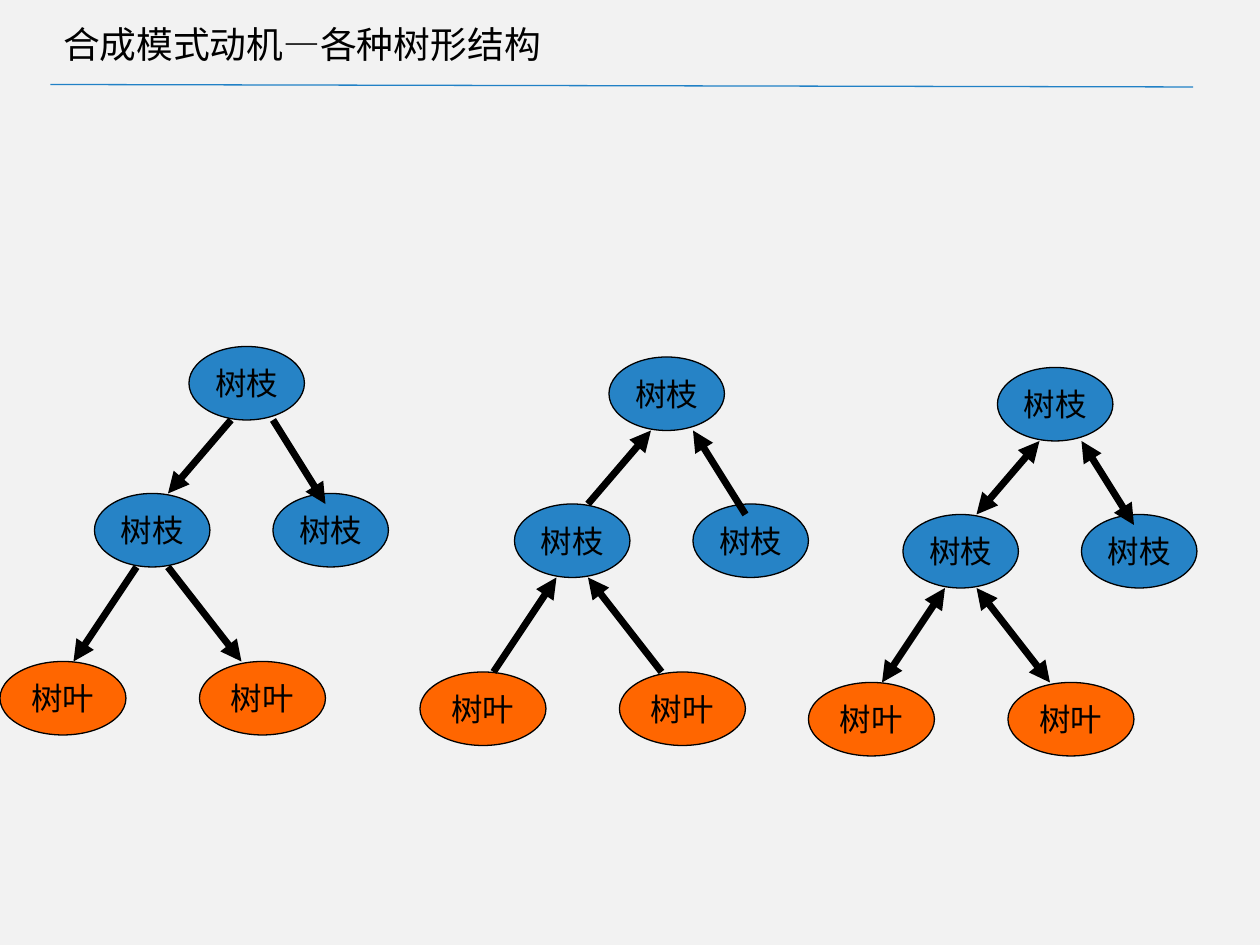
from pptx import Presentation
from pptx.dml.color import RGBColor
from pptx.enum.shapes import MSO_CONNECTOR, MSO_SHAPE
from pptx.enum.text import MSO_ANCHOR as Anchor, MSO_AUTO_SIZE as AutoSize, PP_ALIGN as Align
from pptx.oxml.ns import qn
from pptx.util import Pt
from lxml.etree import SubElement

BACKGROUND = RGBColor(0xF2, 0xF2, 0xF2)
RULE_BLUE = RGBColor(0x21, 0x81, 0xC6)
BRANCH_BLUE = RGBColor(0x26, 0x83, 0xC6)
LEAF_ORANGE = RGBColor(0xFF, 0x66, 0x00)
BLACK = RGBColor(0, 0, 0)

BRANCHES = [(108, 0), (54, 84), (156, 84)]
LEAVES = [(0, 180), (114, 180)]
EDGES = [
    (132, 42, 96, 84),
    (78, 126, 42, 180),
    (156, 42, 186, 90),
    (96, 126, 138, 180),
]
TREES = [
    (0, 198, ["tailEnd"]),
    (240, 204, ["headEnd"]),
    (462, 210, ["headEnd", "tailEnd"]),
]


def write_text(frame, text, font="Arial", size=18, color=BLACK, align=Align.CENTER, wrap=False):
    frame.auto_size = AutoSize.NONE
    frame.word_wrap = wrap
    frame.vertical_anchor = Anchor.MIDDLE
    paragraph = frame.paragraphs[0]
    paragraph.alignment = align
    run = paragraph.add_run()
    run.text = text
    run.font.name = font
    run.font.size = Pt(size)
    run.font.color.rgb = color


class TreeSlide:
    node_height = 42
    outline_width = 0.75
    edge_width = 4

    def __init__(self, presentation):
        self.slide = presentation.slides.add_slide(presentation.slide_layouts[5])
        fill = self.slide.background.fill
        fill.solid()
        fill.fore_color.rgb = BACKGROUND

    def title(self, text, left, top, width, height):
        shape = self.slide.shapes.title
        shape.left, shape.top = Pt(left), Pt(top)
        shape.width, shape.height = Pt(width), Pt(height)
        write_text(shape.text_frame, text, font="Calibri", size=21, align=Align.LEFT, wrap=True)

    def node(self, text, left, top, width, color):
        shape = self.slide.shapes.add_shape(
            MSO_SHAPE.OVAL, Pt(left), Pt(top), Pt(width), Pt(self.node_height)
        )
        shape.shadow.inherit = False
        shape.fill.solid()
        shape.fill.fore_color.rgb = color
        shape.line.color.rgb = BLACK
        shape.line.width = Pt(self.outline_width)
        write_text(shape.text_frame, text)

    def line(self, start_x, start_y, end_x, end_y, color=BLACK, width=edge_width, arrows=()):
        connector = self.slide.shapes.add_connector(
            MSO_CONNECTOR.STRAIGHT, Pt(start_x), Pt(start_y), Pt(end_x), Pt(end_y)
        )
        connector.line.color.rgb = color
        connector.line.width = Pt(width)
        line_element = connector.line._get_or_add_ln()
        for arrow in arrows:
            SubElement(line_element, qn(f"a:{arrow}"), type="triangle")
        SubElement(connector._element.spPr, qn("a:effectLst"))

    def tree(self, left, top, arrows):
        for x, y in BRANCHES:
            self.node("树枝", left + x, top + y, 66, BRANCH_BLUE)
        for x, y in LEAVES:
            self.node("树叶", left + x, top + y, 72, LEAF_ORANGE)
        for start_x, start_y, end_x, end_y in EDGES:
            self.line(left + start_x, top + start_y, left + end_x, top + end_y, arrows=arrows)


def main():
    presentation = Presentation()
    presentation.slide_width = Pt(720)
    presentation.slide_height = Pt(540)
    page = TreeSlide(presentation)
    page.line(28.8, 48.3, 681.8, 49.7, color=RULE_BLUE, width=0.75)
    page.title("合成模式动机—各种树形结构", 28.8, 5.8, 620.6, 38.2)
    for left, top, arrows in TREES:
        page.tree(left, top, arrows)
    presentation.save("out.pptx")


if __name__ == "__main__":
    main()
